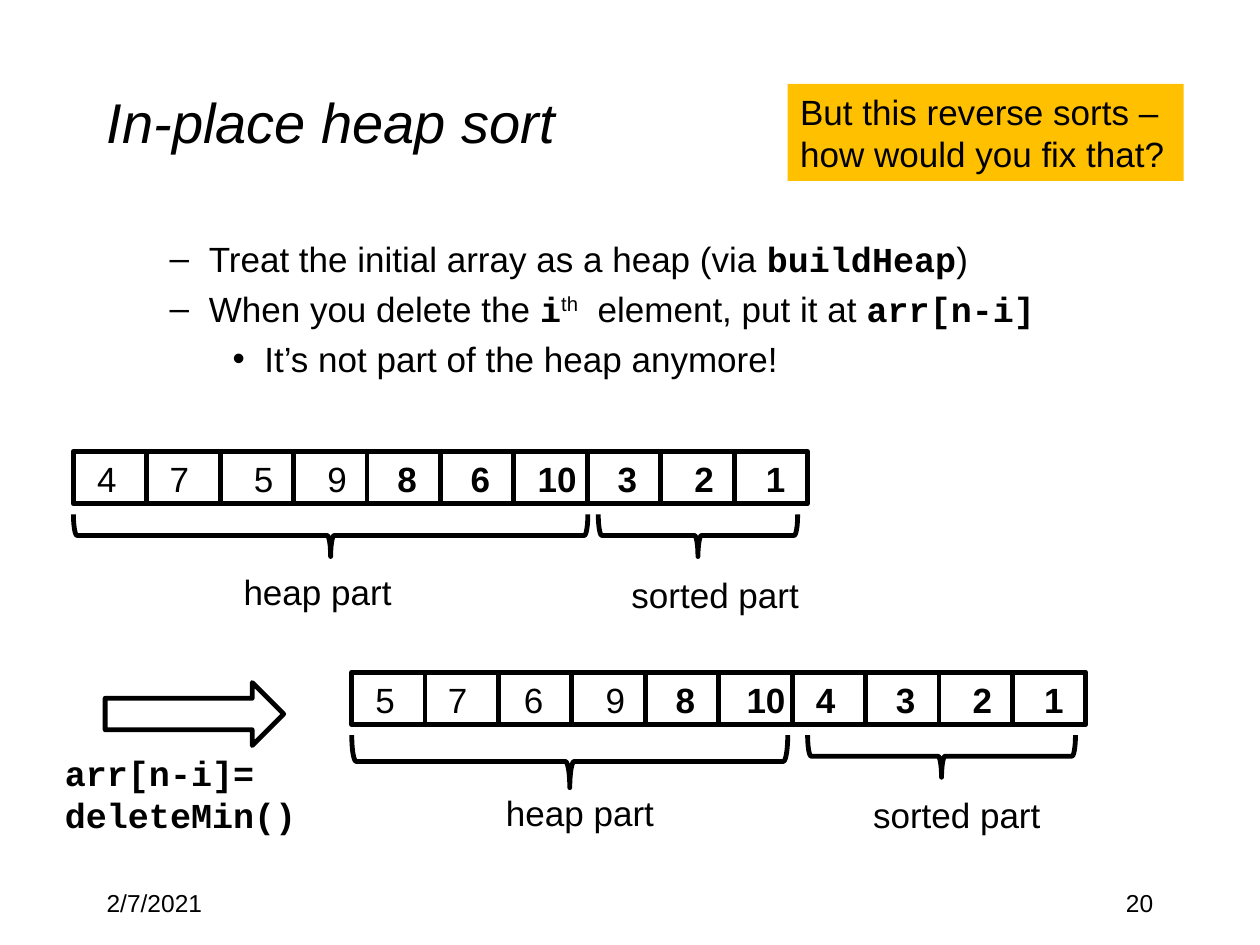
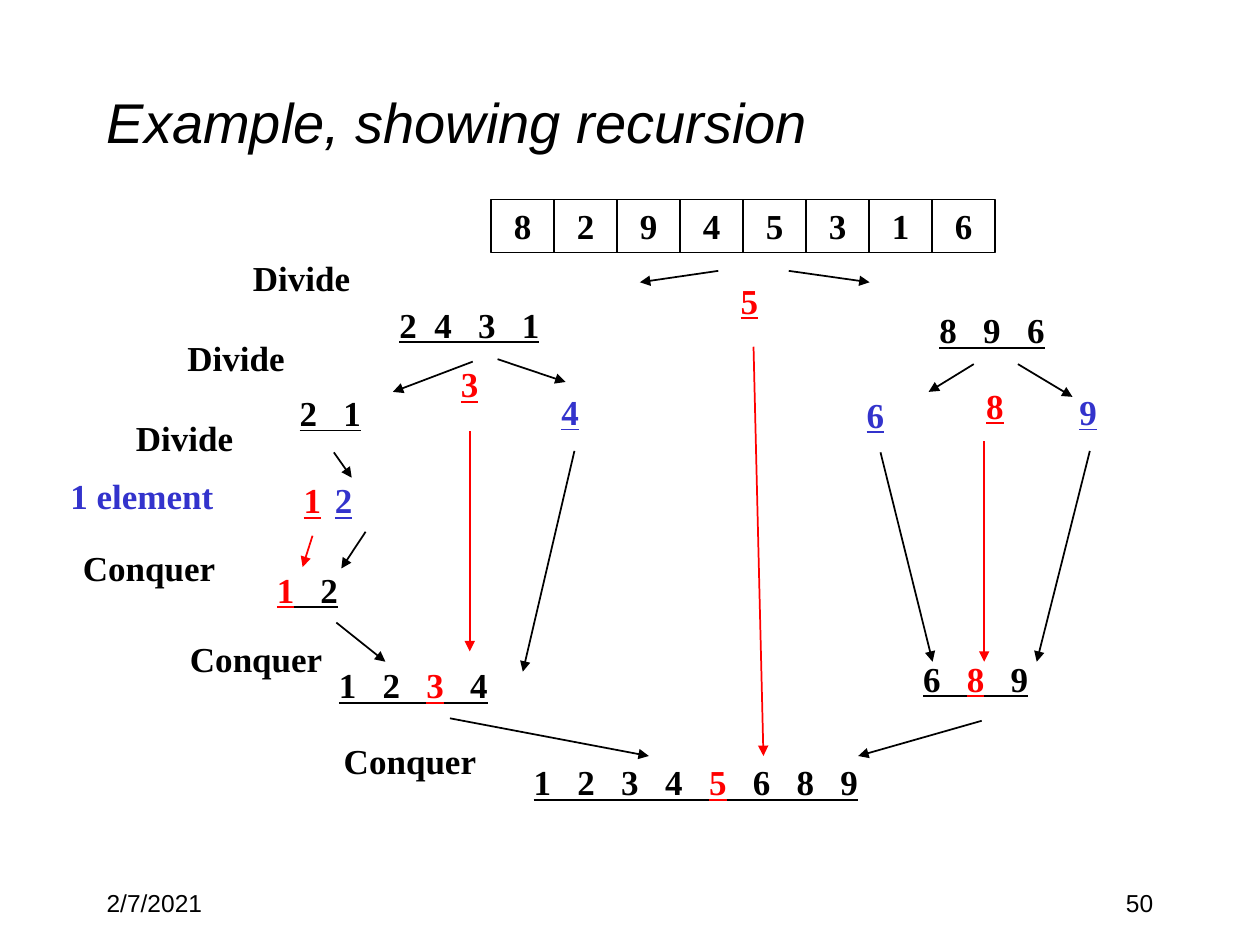
from dataclasses import dataclass, replace
from typing import NamedTuple

from lxml.etree import SubElement
from pptx import Presentation
from pptx.dml.color import RGBColor
from pptx.enum.shapes import MSO_CONNECTOR, MSO_SHAPE as Preset
from pptx.enum.text import MSO_ANCHOR as Anchor, MSO_AUTO_SIZE, PP_ALIGN as Align
from pptx.oxml.ns import qn
from pptx.shapes.autoshape import Shape
from pptx.slide import Slide
from pptx.text.text import TextFrame
from pptx.util import Cm, Pt

COLORS = {"ink": "000000", "pivot": "FF0000", "single": "3333CC", "callout": "FFC000"}
SANS, MONO, SERIF = "Arial", "Courier New", "Times New Roman"
DATE = "2/7/2021"


class Box(NamedTuple):
    left: float
    top: float
    width: float
    height: float

    def lengths(self) -> list[Cm]:
        return [Cm(side) for side in self]


@dataclass(frozen=True)
class Run:
    text: str
    font: str = SANS
    size: int = 20
    color: str = "ink"
    bold: bool = False
    italic: bool = False
    underline: bool = False
    superscript: bool = False


@dataclass(frozen=True)
class Bullet:
    mark: str
    indent: float
    hanging: float
    runs: list[Run]


class Cell(NamedTuple):
    value: str
    inset: float
    bold: bool = False


class Brace(NamedTuple):
    box: Box
    caption: str
    caption_left: float
    caption_top: float


@dataclass(frozen=True)
class HeapArray:
    left: float
    top: float
    cells: list[Cell]
    braces: list[Brace]


class Label(NamedTuple):
    left: float
    top: float
    width: float
    runs: list[Run]


class Arrow(NamedTuple):
    start: tuple[float, float]
    end: tuple[float, float]
    color: str = "ink"


def rgb(name: str) -> RGBColor:
    return RGBColor.from_string(COLORS[name])


def write(frame: TextFrame, lines: list[list[Run]], align: Align = Align.LEFT,
          anchor: Anchor = Anchor.TOP) -> None:
    frame.word_wrap = True
    frame.auto_size = MSO_AUTO_SIZE.NONE
    frame.vertical_anchor = anchor
    for number, runs in enumerate(lines):
        paragraph = frame.add_paragraph() if number else frame.paragraphs[0]
        paragraph.alignment = align
        for item in runs:
            run = paragraph.add_run()
            run.text = item.text
            font = run.font
            font.name, font.size = item.font, Pt(item.size)
            font.bold, font.italic, font.underline = item.bold, item.italic, item.underline
            font.color.rgb = rgb(item.color)
            if item.superscript:
                run._r.get_or_add_rPr().set("baseline", "30000")


def add_text(slide: Slide, box: Box, lines: list[list[Run]],
             align: Align = Align.LEFT) -> TextFrame:
    frame = slide.shapes.add_textbox(*box.lengths()).text_frame
    write(frame, lines, align)
    return frame


def add_outline(slide: Slide, preset: Preset, box: Box, weight: float = 2.75) -> Shape:
    shape = slide.shapes.add_shape(preset, *box.lengths())
    shape.shadow.inherit = False
    shape.fill.background()
    shape.line.color.rgb = rgb("ink")
    shape.line.width = Pt(weight)
    return shape


def add_brace(slide: Slide, box: Box) -> None:
    """Turn a right brace a quarter so that it fills the box and points down."""
    shift = (box.width - box.height) / 2
    upright = Box(box.left + shift, box.top - shift, box.height, box.width)
    add_outline(slide, Preset.RIGHT_BRACE, upright).rotation = 90


def add_arrow(slide: Slide, arrow: Arrow) -> None:
    ends = [Cm(value) for value in (*arrow.start, *arrow.end)]
    connector = slide.shapes.add_connector(MSO_CONNECTOR.STRAIGHT, *ends)
    connector.line.color.rgb = rgb(arrow.color)
    connector.line.width = Pt(1)
    SubElement(connector.line._get_or_add_ln(), qn("a:tailEnd"), type="triangle")
    SubElement(connector._element.spPr, qn("a:effectLst"))


def add_bullets(slide: Slide, box: Box, bullets: list[Bullet]) -> None:
    frame = add_text(slide, box, [bullet.runs for bullet in bullets])
    for paragraph, bullet in zip(frame.paragraphs, bullets):
        paragraph.space_before = Pt(4.5)
        properties = paragraph._p.get_or_add_pPr()
        properties.set("marL", str(Cm(bullet.indent)))
        properties.set("indent", str(-Cm(bullet.hanging)))
        SubElement(properties, qn("a:buFont"), typeface=SANS)
        SubElement(properties, qn("a:buChar"), char=bullet.mark)


def add_titled_slide(deck: Presentation, title: str, number: str) -> Slide:
    """Add a slide with the shared title style, date and page number."""
    slide = deck.slides.add_slide(deck.slide_layouts.get_by_name("Title Only"))
    heading = slide.shapes.title
    heading.left, heading.top, heading.width, heading.height = Box(1.9, 0.85, 21.6, 3.18).lengths()
    write(heading.text_frame, [[Run(title, size=32, italic=True)]], anchor=Anchor.MIDDLE)
    add_text(slide, Box(1.9, 17.78, 5.3, 1.27), [[Run(DATE, size=14)]])
    add_text(slide, Box(18.2, 17.78, 5.3, 1.27), [[Run(number, size=14)]], Align.RIGHT)
    return slide


def add_heap_array(slide: Slide, array: HeapArray) -> None:
    pitch = 1.48
    for index, cell in enumerate(array.cells):
        box = Box(array.left + index * pitch, array.top, pitch, 1.06)
        frame = add_outline(slide, Preset.RECTANGLE, box).text_frame
        write(frame, [[Run(cell.value, bold=cell.bold)]])
        frame.margin_left, frame.margin_right = Cm(cell.inset), 0
    for brace in array.braces:
        add_brace(slide, brace.box)
        caption_box = Box(brace.caption_left, brace.caption_top, 3.95, 1.11)
        add_text(slide, caption_box, [[Run(brace.caption)]])


def build_heap_sort(deck: Presentation) -> None:
    slide = add_titled_slide(deck, "In-place heap sort", "20")
    code = Run("", font=MONO, bold=True)
    add_bullets(slide, Box(1.9, 4.66, 21.6, 3.38), [
        Bullet("–", 2.06, 0.79, [Run("Treat the initial array as a heap (via "),
                                 replace(code, text="buildHeap"), Run(")")]),
        Bullet("–", 2.06, 0.79, [Run("When you delete the "), replace(code, text="i"),
                                 Run("th", superscript=True),
                                 Run("  element, put it at "), replace(code, text="arr[n-i]")]),
        Bullet("•", 3.18, 0.64, [Run("It’s not part of the heap anymore!")]),
    ])

    before = HeapArray(1.48, 9.1, [
        Cell("4", 0.48), Cell("7", 0.46), Cell("5", 0.68), Cell("9", 0.68),
        Cell("8", 0.61, True), Cell("6", 0.61, True), Cell("10", 0.48, True),
        Cell("3", 0.61, True), Cell("2", 0.68, True), Cell("1", 0.64, True),
    ], [
        Brace(Box(1.48, 10.37, 10.37, 0.85), "heap part", 4.66, 11.38),
        Brace(Box(12.06, 10.37, 4.02, 0.85), "sorted part", 12.48, 11.43),
    ])
    after = HeapArray(7.09, 13.55, [
        Cell("5", 0.48), Cell("7", 0.46), Cell("6", 0.51), Cell("9", 0.68),
        Cell("8", 0.61, True), Cell("10", 0.56, True), Cell("4", 0.48, True),
        Cell("3", 0.61, True), Cell("2", 0.68, True), Cell("1", 0.64, True),
    ], [
        Brace(Box(7.09, 14.82, 8.79, 1.06), "heap part", 9.95, 15.83),
        Brace(Box(16.28, 14.82, 5.4, 0.85), "sorted part", 17.35, 15.88),
    ])
    for array in (before, after):
        add_heap_array(slide, array)

    add_outline(slide, Preset.RIGHT_ARROW, Box(2.12, 13.76, 3.6, 1.27))
    add_text(slide, Box(1.06, 15.03, 5.3, 1.96),
             [[replace(code, text="arr[n-i]=")], [replace(code, text="deleteMin()")]])

    callout = add_outline(slide, Preset.RECTANGLE, Box(15.88, 1.69, 7.98, 1.96))
    callout.fill.solid()
    callout.fill.fore_color.rgb = rgb("callout")
    callout.line.fill.background()
    write(callout.text_frame,
          [[Run("But this reverse sorts –")], [Run("how would you fix that?")]])


def build_recursion(deck: Presentation) -> None:
    slide = add_titled_slide(deck, "Example, showing recursion", "50")
    step = Run("", font=SERIF, bold=True)

    def part(text: str, color: str = "ink") -> Run:
        return replace(step, text=text, color=color, underline=True)

    for index, value in enumerate("82945316"):
        box = Box(9.9 + index * 1.27, 4.02, 1.27, 1.07)
        cell = add_outline(slide, Preset.RECTANGLE, box, 0.75)
        write(cell.text_frame, [[replace(step, text=value)]], Align.CENTER, Anchor.MIDDLE)

    steps = [
        Label(left, top, 3.3, [replace(step, text=text)])
        for text, left, top in [
            ("Divide", 4.85, 5.05), ("Divide", 3.53, 6.65), ("Divide", 2.49, 8.28),
            ("Conquer", 1.42, 10.9), ("Conquer", 3.58, 12.73), ("Conquer", 6.68, 14.78),
        ]
    ]
    base_case = Label(1.17, 9.45, 3.5, [replace(step, text="1 element", color="single")])
    single_values = [
        Label(left, top, 0.9, [part(value, color)])
        for value, color, left, top in [
            ("5", "pivot", 14.68, 5.51), ("3", "pivot", 9.04, 7.19),
            ("8", "pivot", 19.63, 7.62), ("1", "pivot", 5.87, 9.53),
            ("4", "single", 11.07, 7.75), ("6", "single", 17.22, 7.8),
            ("9", "single", 21.51, 7.75), ("2", "single", 6.5, 9.53),
        ]
    ]
    divided = [
        Label(7.8, 5.99, 3.4, [part("2  4   3   1")]),
        Label(18.69, 6.1, 2.7, [part("8   9   6")]),
        Label(5.79, 7.77, 1.8, [part("2   1")]),
    ]
    merged = [
        Label(5.33, 11.33, 1.8, [part("1", "pivot"), part("   2")]),
        Label(6.58, 13.26, 3.6, [part("1   2   "), part("3", "pivot"), part("   4")]),
        Label(18.36, 13.13, 2.7, [part("6   "), part("8", "pivot"), part("   9")]),
        Label(10.51, 15.21, 7.2,
              [part("1   2   3   4   "), part("5", "pivot"), part("   6   8   9")]),
    ]
    for label in [*steps, base_case, *single_values, *divided, *merged]:
        add_text(slide, Box(label.left, label.top, label.width, 1.11), [label.runs])

    divide_arrows = [
        Arrow((14.48, 5.46), (12.9, 5.69)), Arrow((15.9, 5.46), (17.53, 5.69)),
        Arrow((9.53, 7.29), (7.92, 7.9)), Arrow((10.03, 7.24), (11.4, 7.7)),
        Arrow((19.63, 7.34), (18.72, 7.9)), Arrow((20.52, 7.34), (21.62, 8)),
        Arrow((6.73, 9.12), (7.09, 9.63)),
    ]
    conquer_arrows = [
        Arrow((17.75, 9.12), (18.8, 13.34)), Arrow((21.97, 9.09), (20.9, 13.34)),
        Arrow((7.37, 10.72), (6.88, 11.46)), Arrow((6.78, 12.55), (7.77, 13.34)),
        Arrow((11.58, 9.09), (10.54, 13.54)), Arrow((9.07, 14.48), (13.08, 15.24)),
        Arrow((19.79, 14.53), (17.3, 15.24)),
    ]
    pivot_arrows = [
        Arrow((6.3, 10.8), (6.1, 11.43), "pivot"), Arrow((9.47, 8.69), (9.47, 13.13), "pivot"),
        Arrow((15.19, 6.99), (15.39, 15.24), "pivot"),
        Arrow((19.84, 8.89), (19.84, 13.34), "pivot"),
    ]
    for arrow in divide_arrows + conquer_arrows + pivot_arrows:
        add_arrow(slide, arrow)


def main() -> None:
    deck = Presentation()
    deck.slide_width, deck.slide_height = Cm(25.4), Cm(19.05)
    build_heap_sort(deck)
    build_recursion(deck)
    deck.save("out.pptx")


if __name__ == "__main__":
    main()
